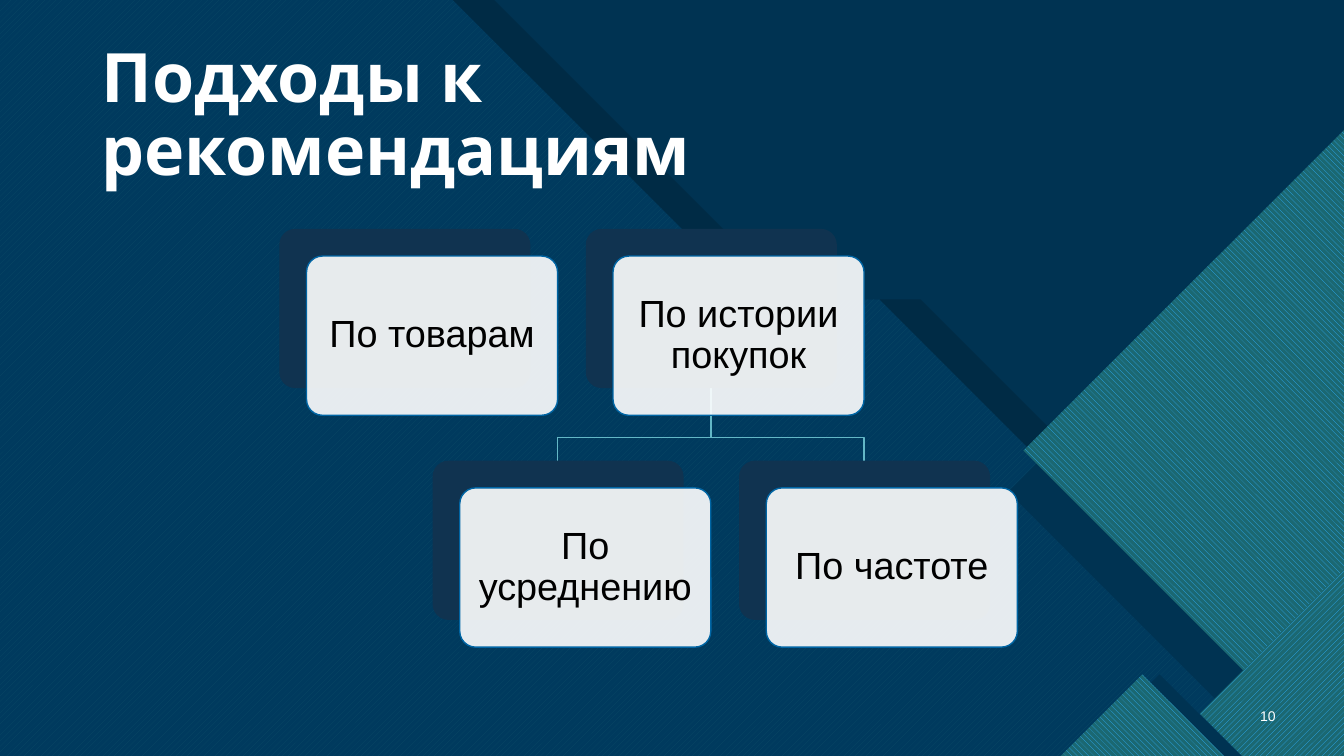
from lxml.etree import SubElement as Sub
from pptx import Presentation
from pptx.dml.color import RGBColor as Rgb
from pptx.enum.dml import MSO_PATTERN as Pat
from pptx.enum.shapes import MSO_SHAPE as Kind
from pptx.enum.text import MSO_ANCHOR as Anchor, PP_ALIGN as Align
from pptx.oxml.ns import qn
from pptx.util import Inches, Pt

NAVY = Rgb(0x00, 0x33, 0x52)
BLACK = Rgb(0, 0, 0)
WHITE = Rgb(0xFF, 0xFF, 0xFF)
BLUE = Rgb(0x00, 0x65, 0xA4)
AQUA = Rgb(0x47, 0xC3, 0xD3)
SKY = Rgb(0x2F, 0xAF, 0xFF)
TEAL = Rgb(0x1B, 0x68, 0x72)
DUSK = Rgb(0x10, 0x33, 0x50)
LINK = Rgb(0x63, 0xB7, 0xC6)
UP = Pat.WIDE_UPWARD_DIAGONAL
DOWN = Pat.WIDE_DOWNWARD_DIAGONAL
WIDE, HIGH = 13.33, 7.5

TITLE = {"size": Pt(48.6), "name": "Open Sans", "bold": True}
LABEL = {"size": Pt(27), "name": "Arial"}
NUMBER = {"size": Pt(10), "name": "Arial"}


def paint(shape, color, alpha=None, line=None):
    shape.shadow.inherit = False
    shape.fill.solid()
    shape.fill.fore_color.rgb = color
    if alpha:
        tone = shape.fill._xPr.find(qn("a:solidFill"))[0]
        Sub(tone, qn("a:alpha")).set("val", str(alpha * 1000))
    if line:
        shape.line.color.rgb = line
        shape.line.width = Pt(1)
    else:
        shape.line.fill.background()


def hatch(shape, kind, fore, back):
    paint(shape, back)
    fill = shape.fill
    fill.patterned()
    fill.pattern = kind
    fill.fore_color.rgb = fore
    fill.back_color.rgb = back


def outline(slide, box, points, close=True):
    left, top = box[:2]
    spots = [(Inches(left + x), Inches(top + y)) for x, y in points]
    form = slide.shapes.build_freeform(*spots[0], scale=1)
    form.add_line_segments(spots[1:], close=close)
    return form.convert_to_shape()


def write(shape, text, style, color, align, anchor, inset=(0.1, 0.05)):
    frame = shape.text_frame
    side, edge = map(Inches, inset)
    form = {"word_wrap": True, "vertical_anchor": anchor,
            "margin_left": side, "margin_right": side,
            "margin_top": edge, "margin_bottom": edge}
    for key, value in form.items():
        setattr(frame, key, value)
    para = frame.paragraphs[0]
    para.alignment = align
    para.line_spacing = 0.9
    run = para.add_run()
    run.text = text
    for key, value in style.items():
        setattr(run.font, key, value)
    run.font.color.rgb = color


def add_text(slide, box, *rest):
    write(slide.shapes.add_textbox(*map(Inches, box)), *rest)


def add_field(slide, box):
    wide, high = box[2:]
    step = 2.97

    def panel(start):
        bend = start + step
        ledge = bend + 1.26
        foot = min(wide, ledge + high - step)
        return outline(slide, box, [
            (0, 0), (start, 0), (bend, step), (ledge, step),
            (foot, step + foot - ledge), (foot, high), (0, high)])

    base = slide.shapes.add_shape(Kind.RECTANGLE, *map(Inches, box))
    paint(base, NAVY)
    paint(panel(4.9), BLACK)
    hatch(panel(4.49), UP, AQUA, BLUE)
    paint(panel(6.95), NAVY, 85)


def add_corner(slide, box):
    wide, high = box[2:]

    def wedge(tip, level):
        reach = wide - tip
        drop = min(reach, high - level)
        return outline(slide, box, [
            (wide, level - reach), (tip, level),
            (tip + drop, level + drop), (wide, level + drop)])

    def peak(mid):
        half = 0.81
        return outline(slide, box, [
            (mid - half, high), (mid, high - half), (mid + half, high)])

    paint(wedge(10, 4.88), NAVY)
    hatch(wedge(10.15, 4.47), DOWN, SKY, TEAL)
    hatch(wedge(11.9, 7.08), UP, SKY, TEAL)
    paint(peak(11.5), NAVY)
    hatch(peak(11.33), DOWN, SKY, TEAL)


def add_card(slide, box, text):
    left, top, wide, high = box
    for shift, look in ((0, (DUSK,)), (0.27, (WHITE, 90, BLUE))):
        place = left + shift, top + shift, wide, high
        card = slide.shapes.add_shape(
            Kind.ROUNDED_RECTANGLE, *map(Inches, place))
        card.adjustments[0] = 0.1
        paint(card, *look)
    write(card, text, LABEL, BLACK, Align.CENTER, Anchor.MIDDLE, (0.08, 0.1))


def add_tree(slide, box):
    left, top = box[:2]
    wide, high = 2.49, 1.58
    step, drop = 3.04, 2.3
    stem = 1.5 * step - 0.28
    for side in (1, -1):
        end = stem + side * step / 2
        branch = outline(slide, box, [
            (stem, high), (stem, 2.07), (end, 2.07), (end, drop)], False)
        paint(branch, LINK, line=LINK)
        branch.fill.background()
    rows = (("По товарам", "По истории покупок"),
            ("По усреднению", "По частоте"))
    for row, names in enumerate(rows):
        for col, name in enumerate(names):
            x = left + (col + row / 2) * step
            add_card(slide, (x, top + row * drop, wide, high), name)


def build():
    deck = Presentation()
    deck.slide_width, deck.slide_height = Inches(WIDE), Inches(HIGH)
    slide = deck.slides.add_slide(deck.slide_layouts[6])
    page = 0, 0, WIDE, HIGH
    add_field(slide, page)
    add_corner(slide, page)
    add_text(slide, (0.91, 1, 8.51, 0.94), "Подходы к рекомендациям",
             TITLE, WHITE, Align.LEFT, Anchor.BOTTOM)
    add_text(slide, (12.31, 6.91, 0.44, 0.4), "10",
             NUMBER, WHITE, Align.RIGHT, Anchor.MIDDLE)
    add_tree(slide, (2.77, 2.27, 7.32, 4.15))
    deck.save("out.pptx")


build()
